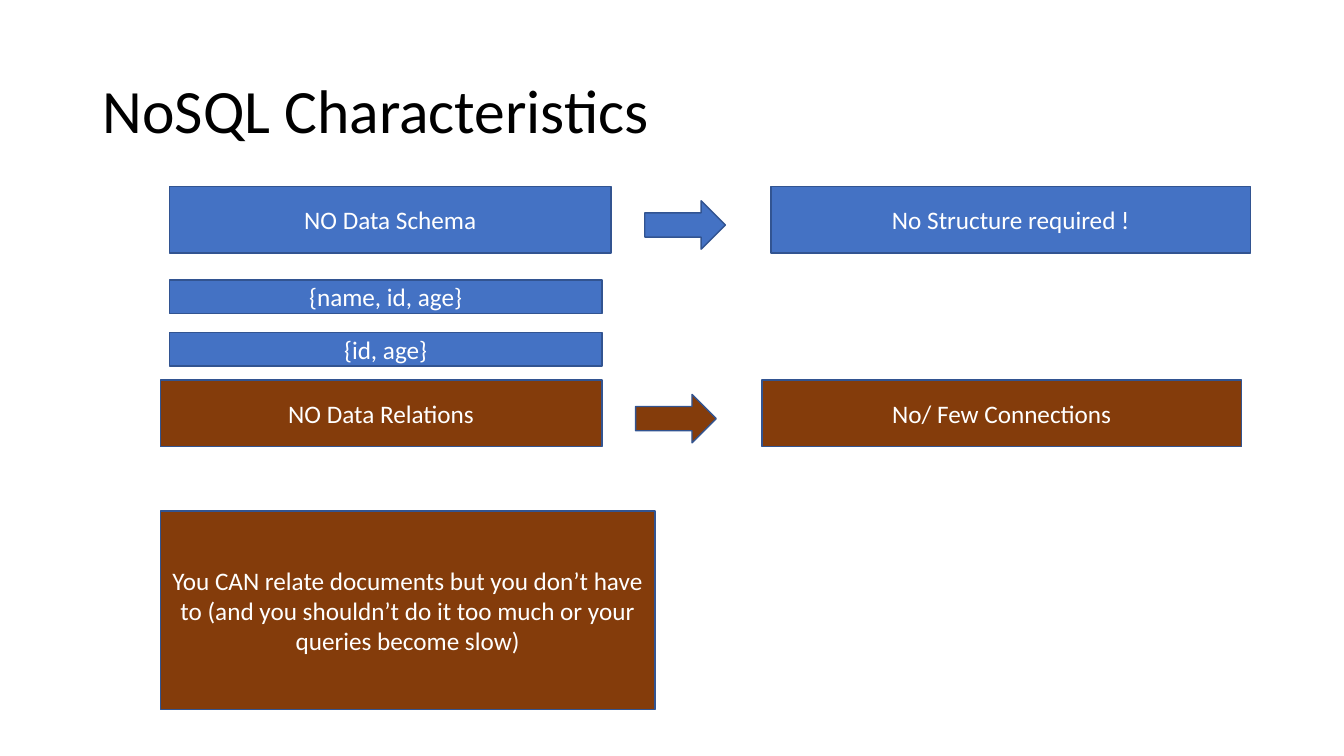
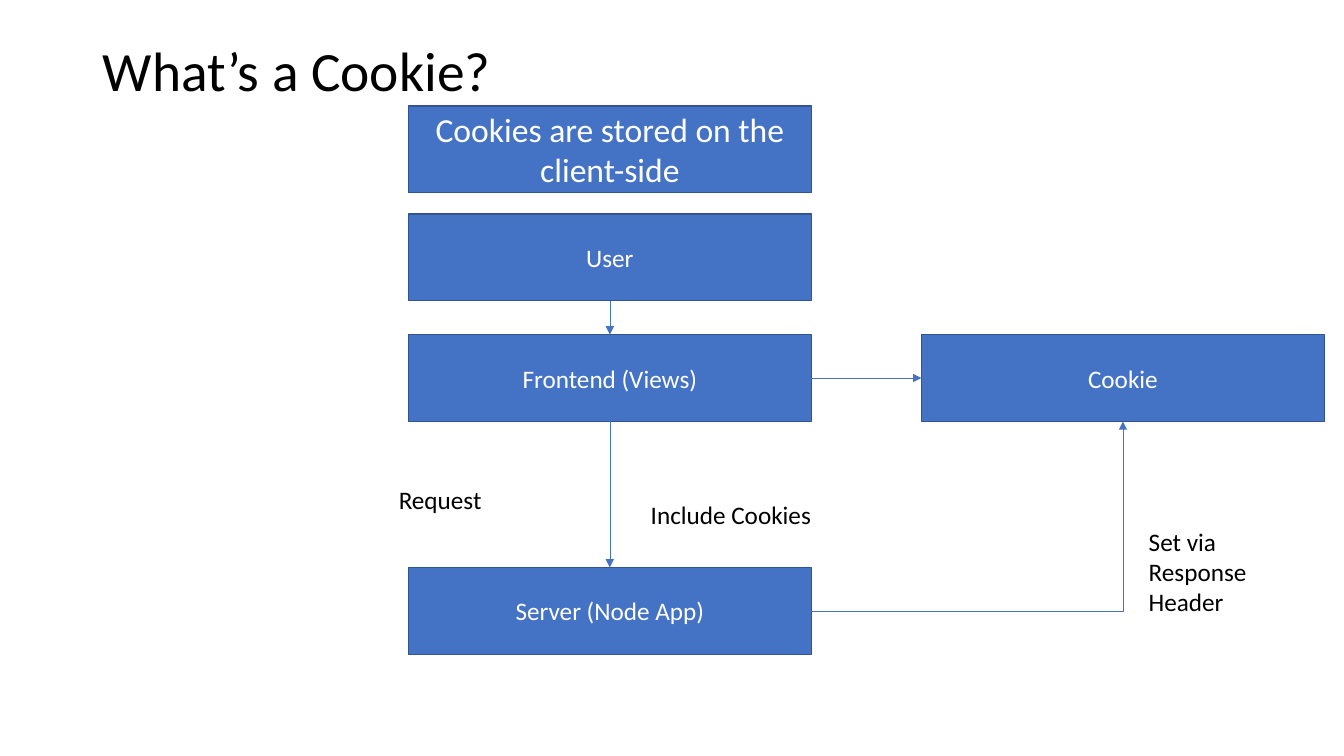
from lxml import etree
from pptx import Presentation
from pptx.dml.color import RGBColor
from pptx.enum.shapes import MSO_CONNECTOR, MSO_SHAPE
from pptx.enum.text import MSO_ANCHOR, PP_ALIGN
from pptx.oxml.ns import qn
from pptx.util import Cm, Pt

RECT, ARROW = MSO_SHAPE.RECTANGLE, MSO_SHAPE.RIGHT_ARROW
STRAIGHT, ELBOW = MSO_CONNECTOR.STRAIGHT, MSO_CONNECTOR.ELBOW
LEFT, CENTER = PP_ALIGN.LEFT, PP_ALIGN.CENTER
TOP, MIDDLE = MSO_ANCHOR.TOP, MSO_ANCHOR.MIDDLE
SITE_TOP, SITE_LEFT, SITE_BOTTOM, SITE_RIGHT = range(4)

FONT = "Calibri"
COLORS = {
    "blue": "4472C4",
    "brown": "843C0B",
    "outline": "325491",
    "white": "FFFFFF",
    "black": "000000",
}
C = {name: RGBColor.from_string(value) for name, value in COLORS.items()}


def write(sp, text, size=18, color="black", align=LEFT, anchor=TOP, spacing=1.0):
    tf = sp.text_frame
    tf.word_wrap = True
    tf.vertical_anchor = anchor
    tf.text = text
    p = tf.paragraphs[0]
    p.alignment = align
    p.line_spacing = spacing
    p.font.name = FONT
    p.font.size = Pt(size)
    p.font.color.rgb = C[color]


def add_block(s, x, y, w, h, text="", fill="blue", size=18, kind=RECT):
    sp = s.shapes.add_shape(kind, Cm(x), Cm(y), Cm(w), Cm(h))
    sp.shadow.inherit = False
    sp.fill.solid()
    sp.fill.fore_color.rgb = C[fill]
    sp.line.color.rgb = C["outline"]
    sp.line.width = Pt(1)
    if text:
        write(sp, text, size, "white", CENTER, MIDDLE)
    return sp


prs = Presentation()
prs.slide_width, prs.slide_height = Cm(33.87), Cm(19.05)

# Slides with their titles: text, width, height, size
slides = []
for title, w, h, size in [
    ("NoSQL Characteristics", 29.21, 3.68, 44),
    ("What’s a Cookie?", 26.82, 1.65, 39.6),
]:
    s = prs.slides.add_slide(prs.slide_layouts[6])
    sp = s.shapes.add_textbox(Cm(2.34), Cm(1.02), Cm(w), Cm(h))
    write(sp, title, size, anchor=MIDDLE, spacing=0.9)
    slides.append(s)

# Slide 1: each characteristic, an arrow and its consequence
s = slides[0]
for x, y, fill, feature, result in [
    (4.27, 4.7, "blue", "NO Data Schema", "No Structure required !"),
    (4.04, 9.58, "brown", "NO Data Relations", "No/ Few Connections"),
]:
    add_block(s, x, y, 11.13, 1.68, feature, fill)
    add_block(s, x + 11.98, y + 0.36, 2.03, 1.22, fill=fill, kind=ARROW)
    add_block(s, x + 15.16, y, 12.09, 1.68, result, fill)

# Slide 1: sample documents and the remark on relations
for i, fields in enumerate(["{name, id, age}", "{id, age}"]):
    add_block(s, 4.27, 7.06 + 1.32 * i, 10.9, 0.84, fields)
add_block(s, 4.04, 12.88, 12.47, 5,
          "You CAN relate documents but you don’t have to (and you shouldn’t "
          "do it too much or your queries become slow)", "brown")

# Slide 2: boxes of the flow
s = slides[1]
nodes = {}
for name, x, y, text, size in [
    ("note", 10.29, 2.67, "Cookies are stored on the client-side", 24),
    ("user", 10.29, 5.39, "User", 18),
    ("frontend", 10.29, 8.43, "Frontend (Views)", 18),
    ("cookie", 23.22, 8.43, "Cookie", 18),
    ("server", 10.29, 14.3, "Server (Node App)", 18),
]:
    nodes[name] = add_block(s, x, y, 10.16, 2.19, text, size=size)

# Slide 2: arrows glued to the boxes
for kind, start, start_site, end, end_site in [
    (STRAIGHT, "user", SITE_BOTTOM, "frontend", SITE_TOP),
    (STRAIGHT, "frontend", SITE_BOTTOM, "server", SITE_TOP),
    (STRAIGHT, "frontend", SITE_RIGHT, "cookie", SITE_LEFT),
    (ELBOW, "server", SITE_RIGHT, "cookie", SITE_BOTTOM),
]:
    cn = s.shapes.add_connector(kind, 0, 0, 0, 0)
    cn.begin_connect(nodes[start], start_site)
    cn.end_connect(nodes[end], end_site)
    cn.line.color.rgb = C["blue"]
    cn.line.width = Pt(0.5)
    spPr = cn._element.spPr
    if kind == ELBOW:  # a single bend
        spPr.find(qn("a:prstGeom")).set("prst", "bentConnector2")
    etree.SubElement(spPr.find(qn("a:ln")), qn("a:tailEnd"), type="triangle")
    etree.SubElement(spPr, qn("a:effectLst"))

# Slide 2: labels beside the arrows
for x, y, w, h, text in [
    (9.8, 12.09, 3.51, 1.02, "Request"),
    (16.15, 12.45, 4.78, 1.02, "Include Cookies"),
    (28.7, 13.13, 4.78, 2.57, "Set via Response Header"),
]:
    write(s.shapes.add_textbox(Cm(x), Cm(y), Cm(w), Cm(h)), text)

prs.save("out.pptx")
